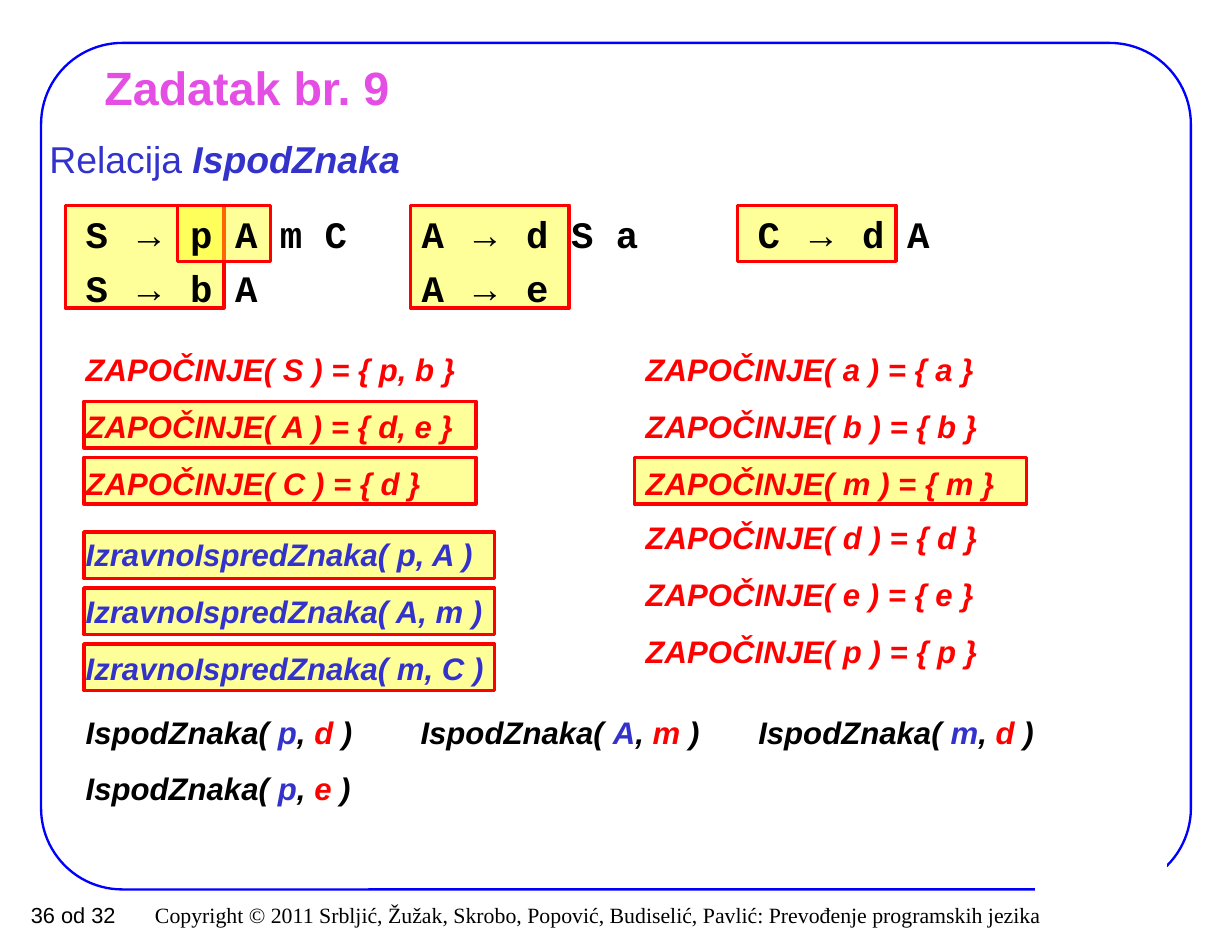
from lxml import etree
from pptx import Presentation
from pptx import util as u
from pptx.dml.color import RGBColor
from pptx.enum import shapes, text
from pptx.oxml import ns

BLACK = RGBColor(0, 0, 0)
WHITE = RGBColor(0xFF, 0xFF, 0xFF)
RED = RGBColor(0xFF, 0, 0)
YELLOW = RGBColor(0xFF, 0xFF, 0)
FRAME_BLUE = RGBColor(0, 0, 0xFF)
TEXT_BLUE = RGBColor(0x33, 0x33, 0xCC)
PINK = RGBColor(0xE4, 0x4E, 0xE4)

# The grid has 12 steps to the inch: 132 columns by 102 rows.
COLUMNS, ROWS = 132, 102
STEP = u.Inches(1) // 12
LEFT, RIGHT = 8, 68  # first columns of the two text columns

prs = Presentation()
prs.slide_width, prs.slide_height = COLUMNS * STEP, ROWS * STEP
slide = prs.slides.add_slide(prs.slide_layouts[6])


def add_box(kind, cell, fill, line, width, opacity=100):
    box = slide.shapes.add_shape(kind, *(round(n * STEP) for n in cell))
    box.shadow.inherit = False
    if fill is None:
        box.fill.background()
    else:
        box.fill.solid()
        box.fill.fore_color.rgb = fill
        if opacity < 100:
            color = box.fill._xPr.find(".//" + ns.qn("a:srgbClr"))
            etree.SubElement(color, ns.qn("a:alpha"), val=str(opacity * 1000))
    box.line.color.rgb = line
    box.line.width = u.Pt(width)
    return box


def add_text(cell, lines, size, color, font="Arial", bold=False, italic=False,
             gap=0, align=text.PP_ALIGN.LEFT, anchor=text.MSO_ANCHOR.TOP, tabs=()):
    """Write lines of (words, overrides) runs; gap is the space between lines."""
    frame = slide.shapes.add_textbox(*(round(n * STEP) for n in cell)).text_frame
    frame.word_wrap = True
    frame.vertical_anchor = anchor
    for number, runs in enumerate(lines):
        paragraph = frame.add_paragraph() if number else frame.paragraphs[0]
        paragraph.alignment = align
        if tabs:
            tab_list = etree.SubElement(paragraph._p.get_or_add_pPr(), ns.qn("a:tabLst"))
            for inches in tabs:
                etree.SubElement(tab_list, ns.qn("a:tab"), pos=str(u.Inches(inches)), algn="l")
        if number:
            paragraph.space_before = u.Pt(gap)
        for words, change in runs:
            run = paragraph.add_run()
            run.text = words
            run.font.size = u.Pt(size)
            run.font.name = change.get("font", font)
            run.font.bold = change.get("bold", bold)
            run.font.italic = change.get("italic", italic)
            run.font.color.rgb = change.get("color", color)
    return frame


# Frame, footer and headings
frame_outline = add_box(shapes.MSO_SHAPE.ROUNDED_RECTANGLE, (4.4, 4.6, 123.2, 90.7),
                        None, FRAME_BLUE, 1.5)
frame_outline.adjustments[0] = 0.096
add_box(shapes.MSO_SHAPE.RECTANGLE, (111, 92, 14, 6), WHITE, WHITE, 1)
add_text((2, 96, 110.8, 4), [[(
    "Copyright © 2011 Srbljić, Žužak, Skrobo, Popović, Budiselić, Pavlić: "
    "Prevođenje programskih jezika", {})]], 14, BLACK, "Times New Roman",
    align=text.PP_ALIGN.RIGHT, anchor=text.MSO_ANCHOR.MIDDLE)
add_text((0, 96, 15.7, 4), [[("36 od 32", {})]], 14, BLACK, align=text.PP_ALIGN.CENTER)
add_text((10, 6, 112, 6.6), [[("Zadatak br. 9", {})]], 30, PINK, bold=True,
         anchor=text.MSO_ANCHOR.MIDDLE)
subtitle = add_text((4.1, 13, 52, 7), [[
    ("Relacija ", {}), ("IspodZnaka", {"bold": True, "italic": True})]], 24, TEXT_BLUE)
subtitle.paragraphs[0].line_spacing = 1.2

# Highlights behind the productions, the sets and the relation
highlights = [(7, 22, 17, 11), (44, 22, 17, 11), (79, 22, 17, 6), (19, 22, 10, 6),
              (9, 43, 42, 5), (9, 49, 42, 5), (RIGHT, 49, 42, 5)]
highlights += [(9, row, 44, 5) for row in (57, 63, 69)]
for cell in highlights:
    add_box(shapes.MSO_SHAPE.RECTANGLE, cell, YELLOW, RED, 2.25, opacity=40)

# Productions of the grammar
arrow = ("→", {"font": "Arial"})
productions = [
    [("S ", {}), arrow, (" p A m C\tA ", {}), arrow, (" d S a\t\tC ", {}), arrow, (" d A", {})],
    [("S ", {}), arrow, (" b A\t\tA ", {}), arrow, (" e", {})],
]
add_text((LEFT, 22, 109, 11.9), productions, 24, BLACK, "Courier New", bold=True,
         gap=6, tabs=range(8))

# ZAPOČINJE sets and the IzravnoIspredZnaka relation
set_groups = [
    ((LEFT, 37, 103, 17.4), [("S", "p, b"), ("A", "d, e"), ("C", "d")]),
    ((RIGHT, 37, 40, 17.4), [(sign, sign) for sign in "abm"]),
    ((RIGHT, 55, 44, 17.4), [(sign, sign) for sign in "dep"]),
]
for cell, sets in set_groups:
    add_text(cell, [[(f"ZAPOČINJE( {sign} ) = {{ {members} }}", {})] for sign, members in sets],
             20, RED, bold=True, italic=True, gap=12.5)
add_text((LEFT, 56.8, 103, 23.5),
         [[(f"IzravnoIspredZnaka( {pair} )", {})] for pair in ("p, A", "A, m", "m, C")],
         20, TEXT_BLUE, bold=True, italic=True, gap=12.5)

# Resulting IspodZnaka pairs
results = [
    ((LEFT, 75.8, 35, 11.3), ["pd", "pe"], text.PP_ALIGN.LEFT),
    ((41, 75.8, 38, 5.3), ["Am"], text.PP_ALIGN.CENTER),
    ((77, 75.8, 38, 5.3), ["md"], text.PP_ALIGN.CENTER),
]
for cell, pairs, align in results:
    lines = [[("IspodZnaka( ", {}), (above, {"color": TEXT_BLUE}), (", ", {}),
              (below, {"color": RED}), (" )", {})] for above, below in pairs]
    add_text(cell, lines, 20, BLACK, bold=True, italic=True, gap=12.5, align=align)

prs.save("out.pptx")
